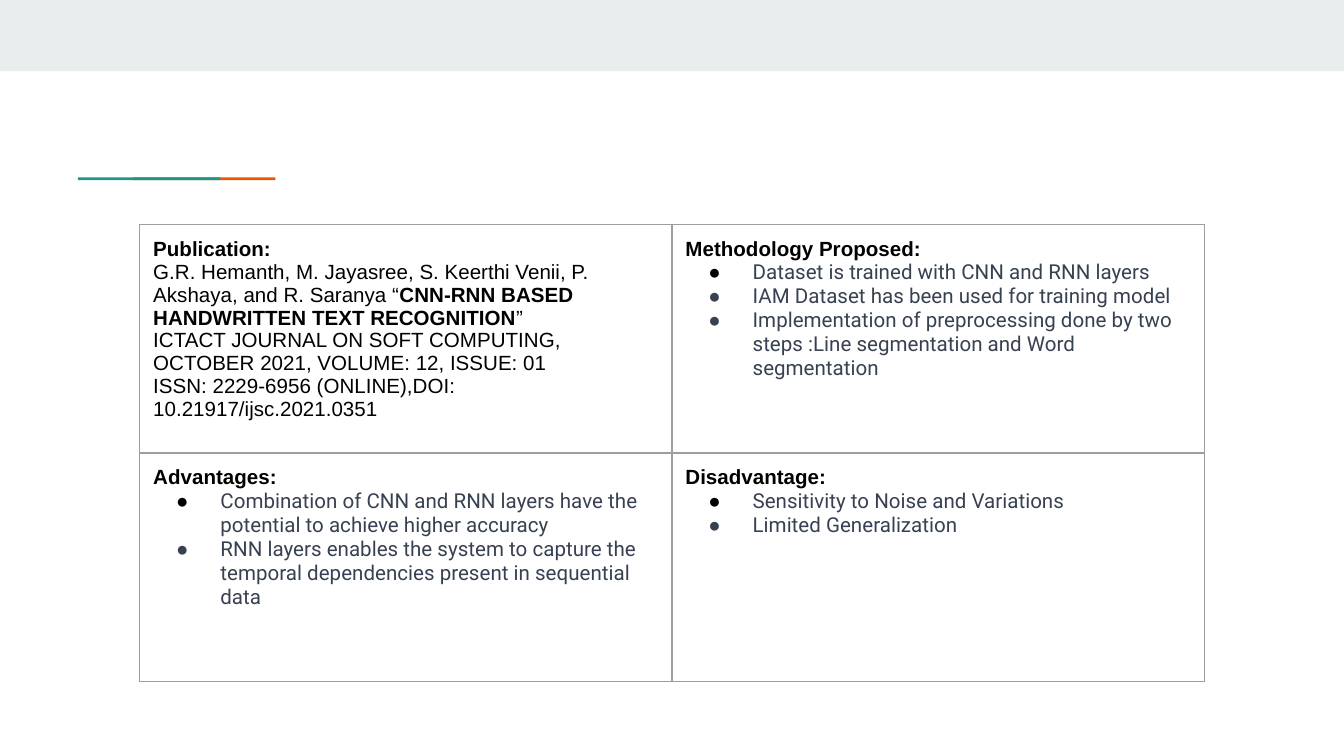
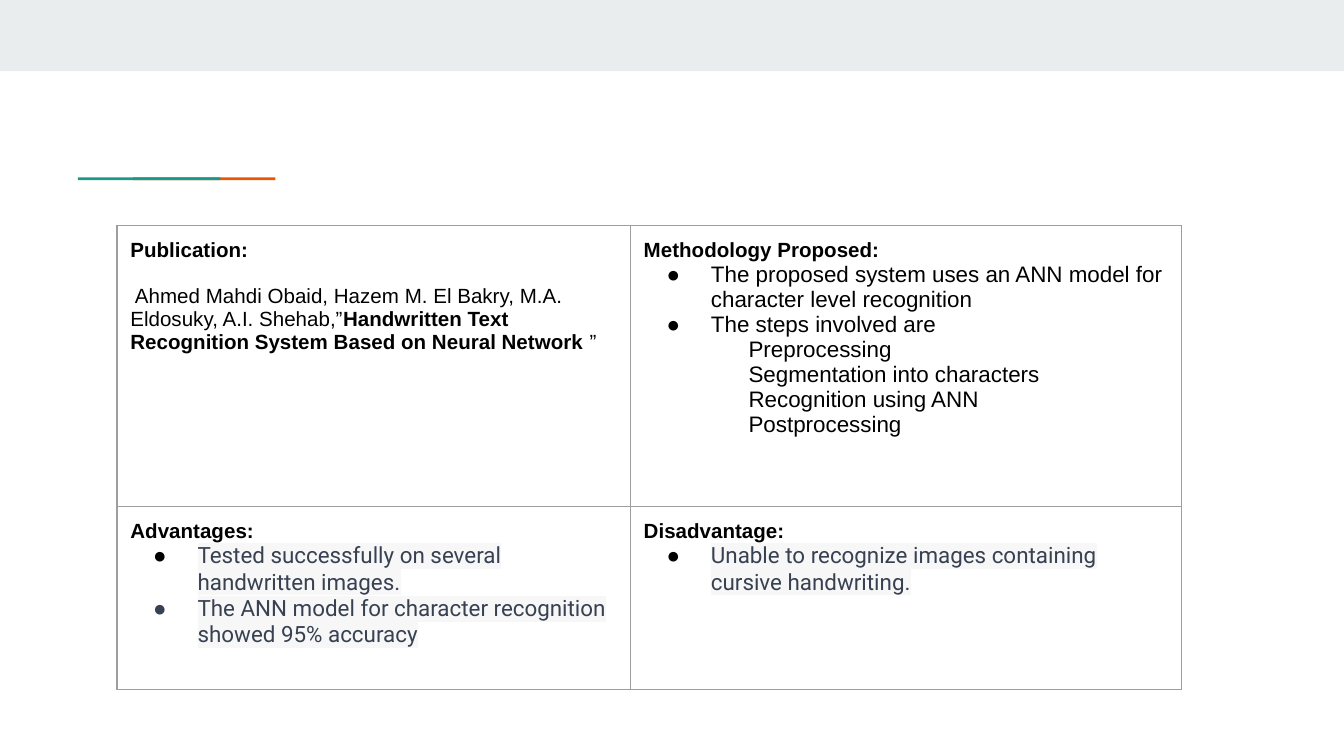
from pptx import Presentation
from pptx.dml.color import RGBColor
from pptx.enum.shapes import MSO_SHAPE
from pptx.oxml.ns import qn
from pptx.util import Inches, Pt
from lxml import etree

RECT = MSO_SHAPE.RECTANGLE
BAND, ORANGE, GREEN = "E9EDEE", "EB5600", "1A9988"
BORDER, BLACK, SLATE, PALE = "9E9E9E", "000000", "374151", "F7F7F8"
ARIAL, ROBOTO = "Arial", "Roboto"


def rgb(value):
    return RGBColor.from_string(value)


def add_bar(s, x, y, w, h, color):
    sp = s.shapes.add_shape(RECT, Inches(x), Inches(y), Inches(w), Inches(h))
    sp.shadow.inherit = False
    sp.fill.solid()
    sp.fill.fore_color.rgb = rgb(color)
    sp.line.fill.background()


def add_base(prs):
    s = prs.slides.add_slide(prs.slide_layouts[6])
    add_bar(s, 0, 0, 10, 0.53, BAND)
    for x, color in ((0.99, ORANGE), (0.58, GREEN)):
        add_bar(s, x, 1.32, 1.06, 0.02, color)
    return s


def add_color(parent, tag, color):
    el = etree.SubElement(parent, qn(tag))
    etree.SubElement(el, qn("a:srgbClr")).set("val", color)
    return el


def style_run(r, size, font=ARIAL, color=BLACK, bold=False, highlight=None):
    r.font.size = Pt(size)
    r.font.bold = bold
    r.font.color.rgb = rgb(color)
    r.font.name = font
    if highlight:
        rPr = r.font._element
        rPr.find(qn("a:solidFill")).addnext(add_color(rPr, "a:highlight", highlight))


def set_indent(p, left, first=0):
    pPr = p._p.get_or_add_pPr()
    pPr.set("marL", str(Inches(left)))
    pPr.set("indent", str(Inches(first)))
    return pPr


def add_heading(cell, text, gap=0):
    p = cell.text_frame.paragraphs[0]
    p.text = text
    p.space_after = Pt(gap)
    style_run(p.runs[0], 11, bold=True)


def add_citation(cell, paragraphs):
    for text in paragraphs:
        p = cell.text_frame.add_paragraph()
        for i, part in enumerate(text.split("*")):
            r = p.add_run()
            r.text = part
            style_run(r, 11, bold=i % 2 == 1)


def add_bullets(cell, items, size, font=ROBOTO, color=SLATE, highlight=None):
    for i, text in enumerate(items):
        p = cell.text_frame.add_paragraph()
        p.text = text
        pPr = set_indent(p, 0.5, -0.33)
        add_color(pPr, "a:buClr", color if i else BLACK)
        etree.SubElement(pPr, qn("a:buFont")).set("typeface", ARIAL)
        etree.SubElement(pPr, qn("a:buChar")).set("char", "●")
        style_run(p.runs[0], size, font, color, highlight=highlight)


def add_steps(cell, steps):
    for text in steps:
        p = cell.text_frame.add_paragraph()
        p.text = text
        set_indent(p, 0.78)
        style_run(p.runs[0], 12)


def style_cell(cell):
    cell.margin_left = cell.margin_right = Inches(0.1)
    cell.margin_top = cell.margin_bottom = Inches(0.1)
    tcPr = cell._tc.get_or_add_tcPr()
    for side in "LRTB":
        ln = etree.SubElement(tcPr, qn("a:ln" + side))
        ln.set("w", str(Pt(0.75)))
        add_color(ln, "a:solidFill", BORDER)
    cell.fill.background()


def add_review_table(s, x, y, widths, heights, gap=0):
    frame = s.shapes.add_table(2, 2, Inches(x), Inches(y),
                               Inches(sum(widths)), Inches(sum(heights)))
    table = frame.table
    table.first_row = table.horz_banding = False
    for column, width in zip(table.columns, widths):
        column.width = Inches(width)
    for row, height in zip(table.rows, heights):
        row.height = Inches(height)
    cells = list(table.iter_cells())
    headings = ("Publication:", "Methodology Proposed:", "Advantages:", "Disadvantage:")
    gaps = (gap, 0, 0, 0)
    for cell, heading, space in zip(cells, headings, gaps):
        style_cell(cell)
        add_heading(cell, heading, space)
    return cells


def add_cnn_rnn_slide(prs):
    s = add_base(prs)
    publication, method, pros, cons = add_review_table(
        s, 1.04, 1.67, (3.96, 3.96), (1.7, 1.7))
    add_citation(publication, (
        "G.R. Hemanth, M. Jayasree, S. Keerthi Venii, P. Akshaya, and R. Saranya "
        "“*CNN-RNN BASED HANDWRITTEN TEXT RECOGNITION*”",
        "ICTACT JOURNAL ON SOFT COMPUTING, OCTOBER 2021, VOLUME: 12, ISSUE: 01",
        "ISSN: 2229-6956 (ONLINE),DOI: 10.21917/ijsc.2021.0351",
    ))
    add_bullets(method, (
        "Dataset is trained with CNN and RNN layers",
        "IAM Dataset has been used for training model",
        "Implementation of preprocessing done by two steps "
        ":Line segmentation and Word segmentation",
    ), 11)
    add_bullets(pros, (
        "Combination of CNN and RNN layers have the potential to achieve higher accuracy",
        "RNN layers enables the system to capture the temporal dependencies "
        "present in sequential data",
    ), 11)
    add_bullets(cons, (
        "Sensitivity to Noise and Variations",
        "Limited Generalization",
    ), 11)


def add_ann_slide(prs):
    s = add_base(prs)
    publication, method, pros, cons = add_review_table(
        s, 0.87, 1.68, (3.82, 4.1), (2.09, 1.36), gap=12.5)
    add_citation(publication, (
        " Ahmed Mahdi Obaid, Hazem M. El Bakry, M.A. Eldosuky, A.I. Shehab,”"
        "*Handwritten Text Recognition System Based on Neural Network* ”",
    ))
    add_bullets(method, (
        "The proposed system uses an ANN model for character level recognition",
        "The steps involved are",
    ), 12, ARIAL, BLACK)
    add_steps(method, (
        "Preprocessing",
        "Segmentation into characters",
        "Recognition using ANN",
        "Postprocessing",
    ))
    add_bullets(pros, (
        "Tested successfully on several handwritten images.",
        "The ANN model for character recognition showed 95% accuracy",
    ), 12, highlight=PALE)
    add_bullets(cons, (
        "Unable to recognize images containing cursive handwriting.",
    ), 12, highlight=PALE)


def main():
    prs = Presentation()
    prs.slide_width = Inches(10)
    prs.slide_height = Inches(10) * 9 // 16
    add_cnn_rnn_slide(prs)
    add_ann_slide(prs)
    prs.save("out.pptx")


if __name__ == "__main__":
    main()
